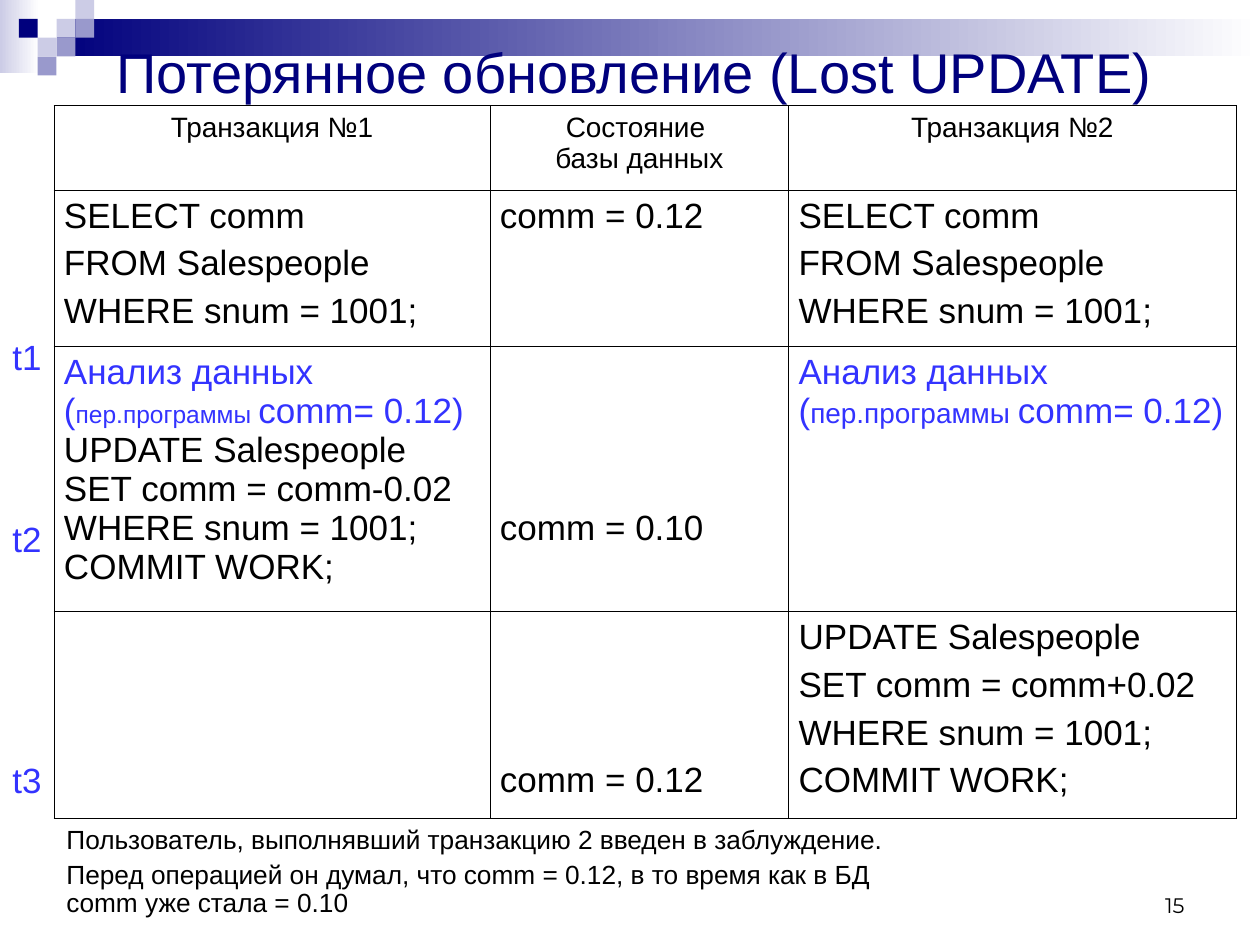
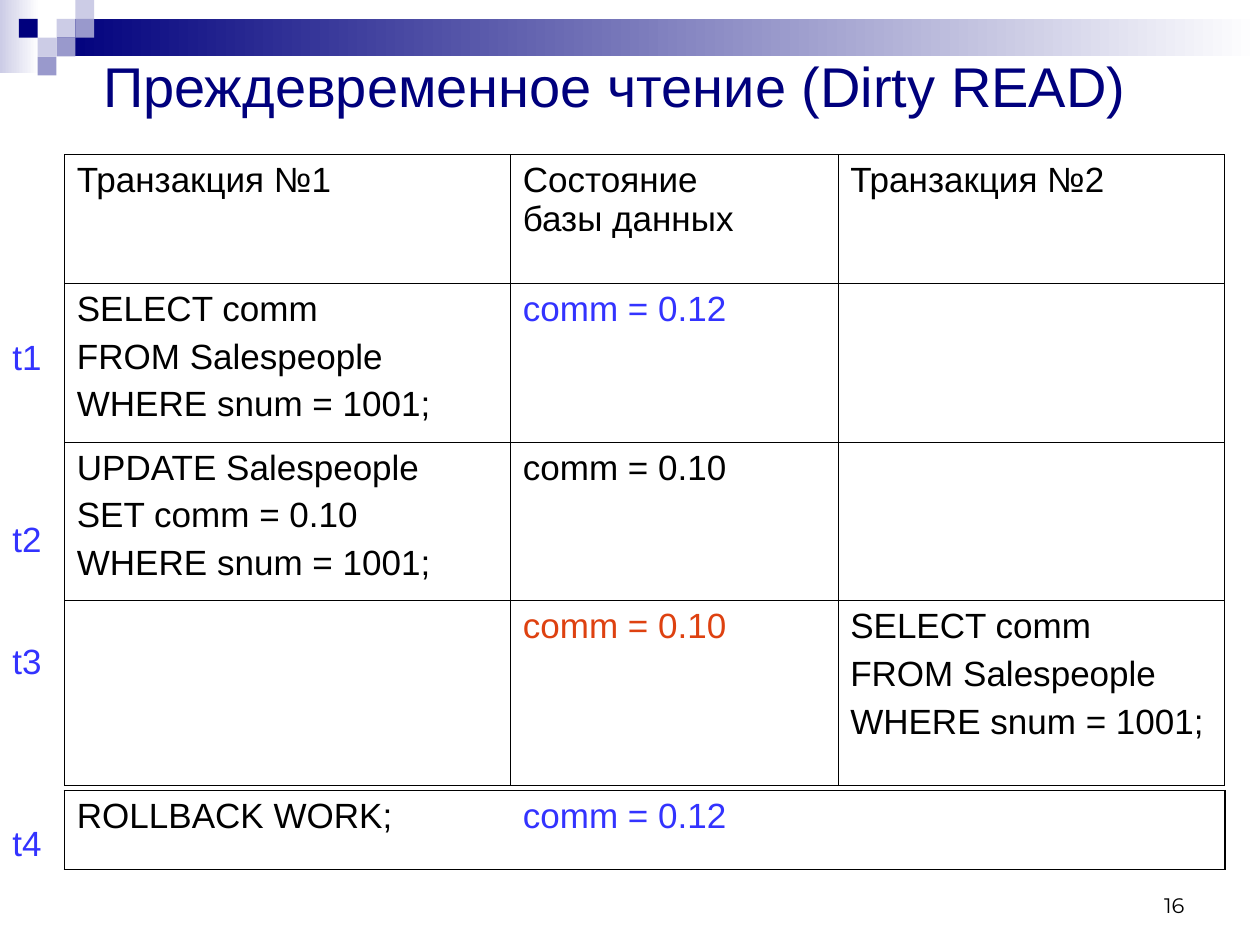
from lxml import etree
from pptx import Presentation
from pptx.dml.color import RGBColor
from pptx.enum import shapes, text
from pptx.oxml import ns
from pptx.util import Cm, Pt

NAVY = RGBColor(0x00, 0x00, 0x7D)
LAVENDER = RGBColor(0xCC, 0xCC, 0xE6)
VIOLET = RGBColor(0x99, 0x99, 0xCC)
BLUE = RGBColor(0x33, 0x33, 0xFF)
RED = RGBColor(0xDE, 0x41, 0x10)
BLACK = RGBColor(0x00, 0x00, 0x00)
WHITE = RGBColor(0xFF, 0xFF, 0xFF)

LEFT, CENTER, RIGHT = (text.PP_ALIGN.LEFT, text.PP_ALIGN.CENTER, text.PP_ALIGN.RIGHT)
TOP, MIDDLE, BOTTOM = (text.MSO_ANCHOR.TOP, text.MSO_ANCHOR.MIDDLE, text.MSO_ANCHOR.BOTTOM)
BODY_FONT, NUMBER_FONT = "Arial", "Montserrat"
BODY_SIZE = 20
THIN, THICK = 0.45, 1.08
ALL_THIN = dict(L=THIN, R=THIN, T=THIN, B=THIN)

# Timeline labels: a step is one line plus its gap, in points
TIME_STEP, TIME_LINE = 34.13, 20.1


# ---- Content ----
# A paragraph is a string or a list of (text, size, colour) runs.
# A cell is (paragraphs, options); options go to write().
def cell(*paragraphs, **options):
    return paragraphs, options


def analysis(small_size):
    return ([("Анализ данных", BODY_SIZE, BLUE)],
            [("(", BODY_SIZE, BLUE), ("пер.программы ", small_size, BLUE),
             ("comm= 0.12)", BODY_SIZE, BLUE)])


WHERE = "WHERE snum = 1001;"
SELECT = ("SELECT comm", "FROM Salespeople", WHERE)
HEADINGS = ("Транзакция №1", "Состояние \nбазы данных", "Транзакция №2")
SPACED = dict(gap=5)
EMPTY = cell()

# Lengths in centimetres; times are (label, steps after the previous label)
SLIDES = [
    dict(
        number="15",
        title="Потерянное обновление (Lost UPDATE)",
        title_box=(1.09, 0.71, 23.39, 1.6), title_spacing=0.9,
        times=[("t1", 0), ("t2", 3), ("t3", 4)], times_size=(1.14, 9.45),
        tables=[dict(
            at=(1.09, 2.13), columns=(8.79, 6.02, 9.02), rows=(1.7, 3.1, 5.28, 4.11),
            side_margin=0.2,
            cells=[
                [cell(heading, size=16, align=CENTER) for heading in HEADINGS],
                [cell(*SELECT, **SPACED), cell("comm = 0.12"), cell(*SELECT, **SPACED)],
                [cell(*analysis(14), "UPDATE Salespeople", "SET comm = comm-0.02",
                      WHERE, "COMMIT WORK;"),
                 cell("comm = 0.10", top=3.28),
                 cell(*analysis(16))],
                [EMPTY, cell("comm = 0.12", top=3.01),
                 cell("UPDATE Salespeople", "SET comm = comm+0.02", WHERE,
                      "COMMIT WORK;", **SPACED)],
            ])],
        note=["Пользователь, выполнявший транзакцию 2 введен в заблуждение.",
              "Перед операцией он думал, что comm = 0.12, в то время как в БД \n"
              "comm уже стала = 0.10"],
    ),
    dict(
        number="16",
        title="Преждевременное чтение (Dirty READ)",
        title_box=(1.5, 0.91, 21.79, 1.6), title_spacing=1.0,
        times=[("t1", 0), ("t2", 3), ("t3", 2), ("t4", 3)], times_size=(1.3, 10.64),
        tables=[
            dict(
                at=(1.3, 3.12), columns=(8.99, 6.6, 7.8), rows=(2.59, 3.2, 3.2, 3.73),
                side_margin=0.25,
                cells=[
                    [cell(heading) for heading in HEADINGS],
                    [cell(*SELECT, **SPACED), cell("comm = 0.12", color=BLUE), EMPTY],
                    [cell("UPDATE Salespeople", "SET comm = 0.10", WHERE, **SPACED),
                     cell("comm = 0.10"), EMPTY],
                    [EMPTY, cell("comm = 0.10", color=RED), cell(*SELECT, **SPACED)],
                ]),
            dict(
                at=(1.3, 15.93), columns=(8.99, 6.6, 7.8), rows=(1.6,),
                side_margin=0.25, framed=True,
                cells=[[cell("ROLLBACK WORK;"), cell("comm = 0.12", color=BLUE), EMPTY]]),
        ],
        note=[],
    ),
]

# Corner mosaic: (column, row, colour) on a square grid
SQUARE = 0.38
MOSAIC = [(3, 1, LAVENDER), (4, 0, LAVENDER), (4, 1, VIOLET), (2, 2, LAVENDER),
          (1, 1, NAVY), (3, 2, VIOLET), (2, 3, VIOLET)]
# Gradient bands: box and starting colour, fading to white
BANDS = [((0, 0, 0.79, 1.47), LAVENDER), ((1.14, 0.38, 24.26, 0.76), NAVY)]


# ---- Text ----
def write(frame, paragraphs, size=BODY_SIZE, color=BLACK, font=BODY_FONT,
          align=LEFT, gap=0, spacing=None):
    for index, content in enumerate(paragraphs):
        paragraph = frame.add_paragraph() if index else frame.paragraphs[0]
        paragraph.alignment = align
        if spacing:
            paragraph.line_spacing = spacing
        if index:
            paragraph.space_before = Pt(gap)
        runs = [(content, size, color)] if isinstance(content, str) else content
        for words, run_size, run_color in runs:
            for line_index, line in enumerate(words.split("\n")):
                if line_index:
                    paragraph.add_line_break()
                run = paragraph.add_run()
                run.text = line
                run.font.name = font
                run.font.size = Pt(run_size)
                run.font.color.rgb = run_color


def add_text(slide, box, paragraphs, anchor=TOP, **style):
    frame = slide.shapes.add_textbox(*map(Cm, box)).text_frame
    frame.word_wrap = True
    frame.vertical_anchor = anchor
    write(frame, paragraphs, **style)
    return frame


# ---- Shared decoration ----
def add_block(slide, box, color, fade=False):
    shape = slide.shapes.add_shape(shapes.MSO_SHAPE.RECTANGLE, *map(Cm, box))
    shape.shadow.inherit = False
    shape.line.fill.background()
    if fade:
        shape.fill.gradient()
        shape.fill.gradient_angle = 0
        for stop, stop_color in zip(shape.fill.gradient_stops, (color, WHITE)):
            stop.color.rgb = stop_color
    else:
        shape.fill.solid()
        shape.fill.fore_color.rgb = color


def add_decoration(slide):
    for box, color in BANDS:
        add_block(slide, box, color, fade=True)
    for column, row, color in MOSAIC:
        add_block(slide, (column * SQUARE, row * SQUARE, SQUARE, SQUARE), color)


# ---- Tables ----
def set_borders(table_cell, widths):
    properties = table_cell._tc.get_or_add_tcPr()
    for index, side in enumerate("LRTB"):
        line = etree.Element(ns.qn("a:ln" + side))
        if side in widths:
            line.set("w", str(int(Pt(widths[side]))))
            fill = etree.SubElement(line, ns.qn("a:solidFill"))
            etree.SubElement(fill, ns.qn("a:srgbClr"), val=str(BLACK))
        else:
            etree.SubElement(line, ns.qn("a:noFill"))
        properties.insert(index, line)


def frame_borders(column, last):
    widths = dict(T=THIN, B=THICK)
    if column == 0:
        widths["L"] = THICK
    if column == last:
        widths["R"] = THICK
    return widths


def add_grid(slide, at, columns, rows, side_margin, cells, framed=False):
    size = sum(columns), sum(rows)
    table = slide.shapes.add_table(len(rows), len(columns), *map(Cm, at + size)).table
    table.first_row = table.horz_banding = False
    for column, width in zip(table.columns, columns):
        column.width = Cm(width)
    for row, height in zip(table.rows, rows):
        row.height = Cm(height)
    for row_index, row_cells in enumerate(cells):
        for column_index, (paragraphs, options) in enumerate(row_cells):
            table_cell = table.cell(row_index, column_index)
            style = dict(options)
            table_cell.margin_left = table_cell.margin_right = Cm(side_margin)
            table_cell.margin_top = Cm(style.pop("top", 0.13))
            table_cell.margin_bottom = Cm(0.13)
            table_cell.fill.background()
            set_borders(table_cell, frame_borders(column_index, len(columns) - 1)
                        if framed else ALL_THIN)
            write(table_cell.text_frame, paragraphs, **style)


# ---- Timeline ----
def add_times(slide, times, size):
    frame = add_text(slide, (0, 6.73) + size, [label for label, _ in times],
                     color=BLUE, spacing=0.9)
    for paragraph, (_, steps) in zip(frame.paragraphs, times):
        if steps:
            paragraph.space_before = Pt(round(steps * TIME_STEP - TIME_LINE, 1))


def main():
    presentation = Presentation()
    presentation.slide_width, presentation.slide_height = Cm(25.4), Cm(19.05)
    for content in SLIDES:
        slide = presentation.slides.add_slide(presentation.slide_layouts[6])
        add_decoration(slide)
        add_text(slide, content["title_box"], [content["title"]], anchor=MIDDLE,
                 size=32, color=NAVY, align=CENTER, spacing=content["title_spacing"])
        for table in content["tables"]:
            add_grid(slide, **table)
        add_times(slide, content["times"], content["times_size"])
        add_text(slide, (18.21, 17.35, 5.92, 1.27), [content["number"]], anchor=BOTTOM,
                 size=12, font=NUMBER_FONT, align=RIGHT)
        if content["note"]:
            add_text(slide, (1.09, 16.54, 23.83, 2.11), content["note"],
                     size=15, gap=3.7, spacing=0.9)
    presentation.save("out.pptx")


if __name__ == "__main__":
    main()
